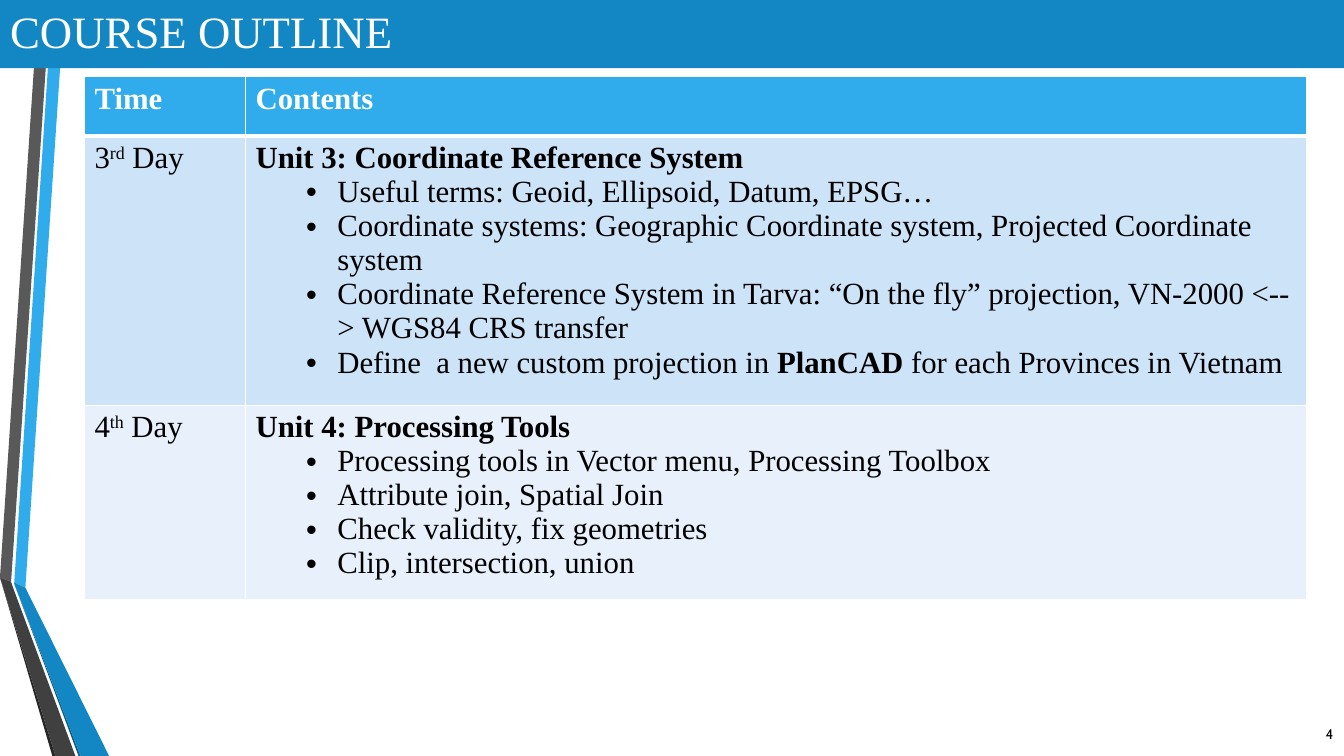
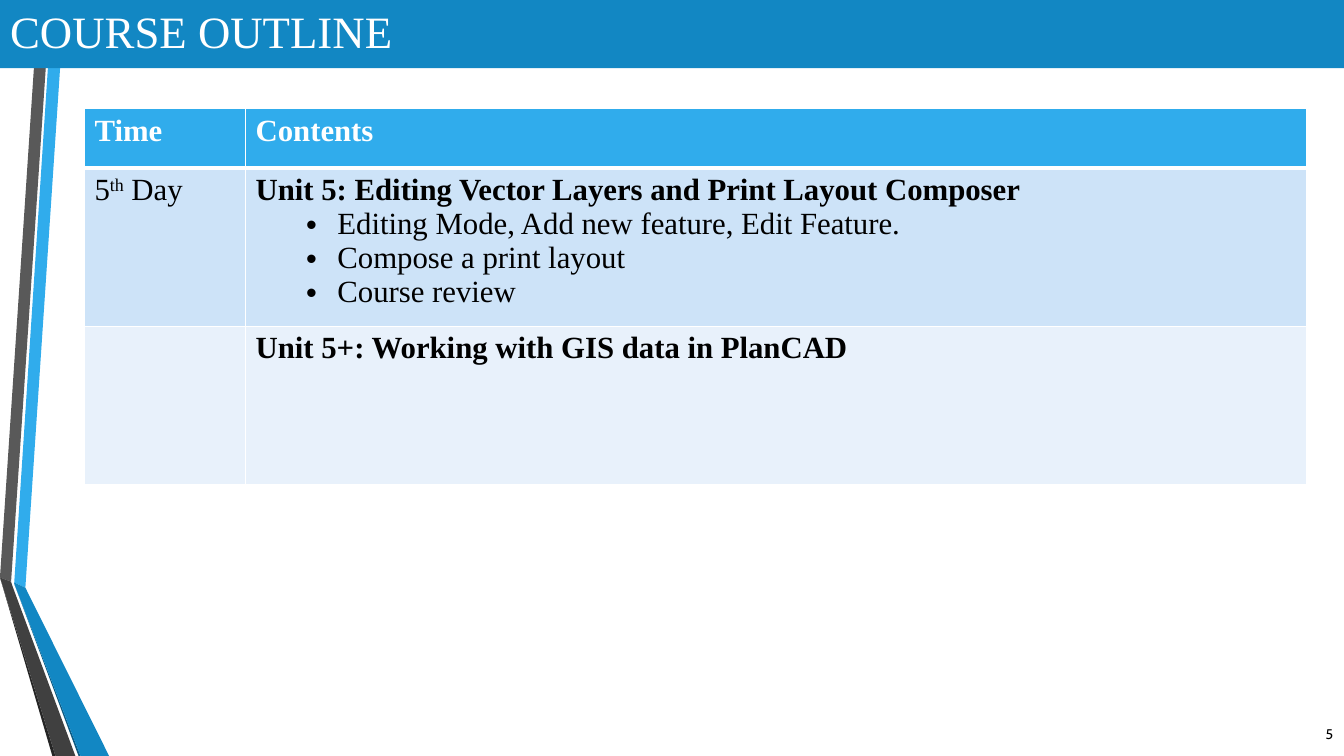
from lxml import etree
from pptx import Presentation
from pptx import util as u
from pptx.dml.color import RGBColor
from pptx.enum import text
from pptx.oxml.ns import qn

# Colours
WHITE = RGBColor(0xFF, 0xFF, 0xFF)
BLACK = RGBColor(0x00, 0x00, 0x00)
SKY = RGBColor(0x30, 0xAC, 0xEC)
BLUE = RGBColor(0x12, 0x87, 0xC3)
NAVY = RGBColor(0x0C, 0x5A, 0x82)
GREY = RGBColor(0x59, 0x59, 0x59)
DARK_GREY = RGBColor(0x40, 0x40, 0x40)
CHARCOAL = RGBColor(0x26, 0x26, 0x26)
ROW_TINTS = RGBColor(0xCD, 0xE3, 0xF8), RGBColor(0xE8, 0xF1, 0xFB)

WIDTH, HEIGHT = u.Cm(33.87), u.Cm(19.05)
SERIF, SANS = "Times New Roman", "Cabin"

# Folded ribbons at the left edge: colour and corners in cm
RIBBONS = [
    (SKY, [(0.36, 14.68), (0.64, 14.81), (1.63, 0), (1.32, 0)]),
    (GREY, [(1.27, 0), (0.97, 0), (0, 14.55), (0.28, 14.66)]),
    (CHARCOAL, [(0, 14.55), (1.32, 19.05), (1.4, 19.05)]),
    (NAVY, [(0.36, 14.71), (1.98, 19.05), (2.03, 19.05)]),
    (BLUE, [(0.36, 14.71), (2.03, 19.05), (2.75, 19.05), (0.64, 14.81),
            (0.36, 14.68)]),
    (DARK_GREY, [(1.9, 19.05), (0.33, 14.81), (0.28, 14.66), (0, 14.55),
                 (1.4, 19.05)]),
]


def add_text(p, words, size=22, font=SERIF, color=BLACK, bold=False, raised=False):
    r = p.add_run()
    r.text = words
    r.font.size, r.font.name, r.font.bold = u.Pt(size), font, bold
    r.font.color.rgb = color
    if raised:
        r.font._element.set("baseline", "30000")


class Deck:
    def __init__(self):
        self.prs = Presentation()
        self.prs.slide_width, self.prs.slide_height = WIDTH, HEIGHT
        self.s = None

    def slide(self, title, number):
        self.s = self.prs.slides.add_slide(self.prs.slide_layouts[5])
        for color, corners in RIBBONS:
            self.ribbon(color, corners)
        self.number(number)
        self.title(title)

    def ribbon(self, color, corners):
        start, *rest = [(u.Cm(x), u.Cm(y)) for x, y in corners]
        fb = self.s.shapes.build_freeform(*start)
        fb.add_line_segments(rest, close=True)
        sp = fb.convert_to_shape()
        sp.shadow.inherit = False
        sp.fill.solid()
        sp.fill.fore_color.rgb = color
        sp.line.fill.background()

    def number(self, number):
        sp = self.s.shapes.add_textbox(u.Cm(32.33), u.Cm(17.98), u.Cm(1.52), u.Cm(1.02))
        tf = sp.text_frame
        tf.word_wrap = True
        tf.vertical_anchor = text.MSO_ANCHOR.MIDDLE
        p = tf.paragraphs[0]
        p.alignment = text.PP_ALIGN.RIGHT
        add_text(p, str(number), size=10, font=SANS)

    def title(self, title):
        sp = self.s.shapes.title
        self.s.shapes._spTree.append(sp._element)  # band covers the ribbon tops
        sp.left, sp.top, sp.width, sp.height = 0, u.Cm(-0.18), WIDTH, u.Cm(1.9)
        sp.fill.solid()
        sp.fill.fore_color.rgb = BLUE
        tf = sp.text_frame
        tf.auto_size = text.MSO_AUTO_SIZE.NONE
        tf.vertical_anchor = text.MSO_ANCHOR.MIDDLE
        p = tf.paragraphs[0]
        p.alignment = text.PP_ALIGN.LEFT
        add_text(p, title, size=32, color=WHITE)

    def outline(self, top, heights, units):
        """Table of days; each unit is (day, suffix, heading, bullets)."""
        widths = 4.06, 26.75
        tbl = self.s.shapes.add_table(
            len(heights), len(widths), u.Cm(2.13), u.Cm(top),
            u.Cm(sum(widths)), u.Cm(sum(heights))).table
        for col, width in zip(tbl.columns, widths):
            col.width = u.Cm(width)
        for row, height in zip(tbl.rows, heights):
            row.height = u.Cm(height)

        for i, label in enumerate(("Time", "Contents")):
            p = self.cell(tbl.cell(0, i), SKY, bottom=3).paragraphs[0]
            add_text(p, label, color=WHITE, bold=True)

        for i, (day, suffix, heading, bullets) in enumerate(units, 1):
            tint = ROW_TINTS[(i - 1) % 2]
            top_line = 3 if i == 1 else 1
            p = self.cell(tbl.cell(i, 0), tint, top=top_line).paragraphs[0]
            if day:
                add_text(p, day)
                add_text(p, suffix, raised=True)
                add_text(p, " Day")
            tf = self.cell(tbl.cell(i, 1), tint, top=top_line)
            add_text(tf.paragraphs[0], heading, bold=True)
            for parts in bullets:
                self.bullet(tf.add_paragraph(), parts)

    def cell(self, cell, color, top=1, bottom=1):
        cell.fill.solid()
        cell.fill.fore_color.rgb = color
        tcPr = cell._tc.get_or_add_tcPr()
        borders = ("lnL", 1), ("lnR", 1), ("lnT", top), ("lnB", bottom)
        for i, (side, points) in enumerate(borders):
            ln = etree.Element(qn("a:" + side), w=str(u.Pt(points)))
            fill = etree.SubElement(ln, qn("a:solidFill"))
            etree.SubElement(fill, qn("a:srgbClr"), val=str(WHITE))
            tcPr.insert(i, ln)
        return cell.text_frame

    def bullet(self, p, parts):
        """Parts alternate between plain and bold."""
        p.level = 1
        pPr = p._p.get_or_add_pPr()
        pPr.set("marL", str(u.Cm(2.06)))
        pPr.set("indent", str(u.Cm(-0.79)))
        etree.SubElement(pPr, qn("a:buFont"), typeface="Arial")
        etree.SubElement(pPr, qn("a:buChar"), char="•")
        for i, part in enumerate(parts):
            add_text(p, part, bold=i % 2 == 1)


def main():
    deck = Deck()

    # Days 3 and 4
    deck.slide("COURSE OUTLINE", 4)
    deck.outline(1.93, (1.5, 6.78, 4.9), [
        ("3", "rd", "Unit 3: Coordinate Reference System", [
            ["Useful terms: Geoid, Ellipsoid, Datum, EPSG…"],
            ["Coordinate systems: Geographic Coordinate system, "
             "Projected Coordinate system"],
            ["Coordinate Reference System in Tarva: “On the fly” projection, "
             "VN-2000 <--> WGS84 CRS transfer"],
            ["Define  a new custom projection in ", "PlanCAD ",
             "for each Provinces in Vietnam"],
        ]),
        ("4", "th", "Unit 4: Processing Tools", [
            ["Processing tools in Vector menu, Processing Toolbox"],
            ["Attribute join, Spatial Join"],
            ["Check validity, fix geometries"],
            ["Clip, intersection, union"],
        ]),
    ])

    # Day 5
    deck.slide("COURSE OUTLINE", 5)
    deck.outline(2.74, (1.5, 3.98, 3.98), [
        ("5", "th", "Unit 5: Editing Vector Layers and Print Layout Composer", [
            ["Editing Mode, Add new feature, Edit Feature."],
            ["Compose a print layout"],
            ["Course review"],
        ]),
        ("", "", "Unit 5+: Working with GIS data in PlanCAD", []),
    ])

    deck.prs.save("out.pptx")


if __name__ == "__main__":
    main()
